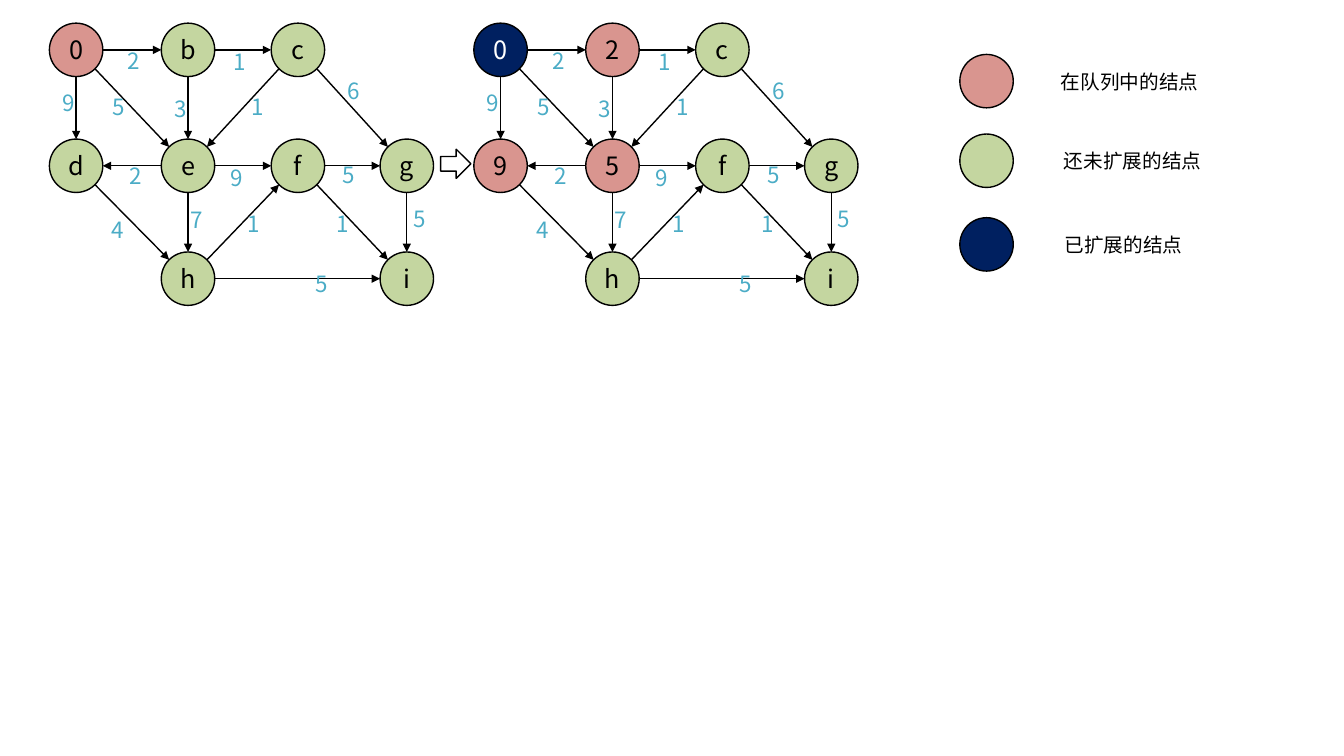
import math

import pptx
import pptx.util
import pptx.dml.color
import pptx.enum.shapes
import pptx.enum.text
import pptx.oxml
import pptx.oxml.ns

RGB = pptx.dml.color.RGBColor
KIND = pptx.enum.shapes.MSO_SHAPE
ALIGN = pptx.enum.text.PP_ALIGN
PX = 9144
FONT = "Noto Sans CJK SC"

BLACK = RGB(0x00, 0x00, 0x00)
WHITE = RGB(0xFF, 0xFF, 0xFF)
PINK = RGB(0xD9, 0x95, 0x8F)
GREEN = RGB(0xC4, 0xD6, 0xA0)
NAVY = RGB(0x00, 0x20, 0x60)
TEAL = RGB(0x4B, 0xAC, 0xC6)

SIZE = 53
COLS = (0, 111, 220, 328)
ROWS = (0, 115, 227)
NODES = {
    "a": (0, 0), "b": (1, 0), "c": (2, 0),
    "d": (0, 1), "e": (1, 1), "f": (2, 1), "g": (3, 1),
    "h": (1, 2), "i": (3, 2),
}
EDGES = [
    ("a", "b", "2", 68, 19), ("a", "e", "5", 53, 65),
    ("a", "d", "9", 3, 61), ("b", "c", "1", 173, 20),
    ("b", "e", "3", 114, 66), ("c", "e", "1", 191, 65),
    ("c", "g", "6", 286, 49), ("e", "d", "2", 70, 133),
    ("e", "f", "9", 170, 135), ("f", "g", "5", 281, 132),
    ("d", "h", "4", 52, 187), ("e", "h", "7", 130, 177),
    ("h", "f", "1", 187, 181), ("f", "i", "1", 275, 181),
    ("g", "i", "5", 351, 176), ("h", "i", "5", 254, 240),
]
START = {"a": ("0", PINK, BLACK)}
NEXT = {
    "a": ("0", NAVY, WHITE), "b": ("2", PINK, BLACK),
    "d": ("9", PINK, BLACK), "e": ("5", PINK, BLACK),
}
LEGEND = [
    (0, PINK, 72, "在队列中的结点"),
    (79, GREEN, 75, "还未扩展的结点"),
    (162, NAVY, 66, "已扩展的结点"),
]


def emu(*nums):
    """Turn px lengths into EMU."""
    return [pptx.util.Emu(round(num * PX)) for num in nums]


def add_run(frame, text, size, color, align):
    """Add one run of text to the first paragraph of a frame."""
    par = frame.paragraphs[0]
    par.alignment = align
    run = par.add_run()
    run.text = text
    font = run.font
    font.size = pptx.util.Pt(size)
    font.name = FONT
    font.color.rgb = color
    east = run._r.get_or_add_rPr().makeelement(
        pptx.oxml.ns.qn("a:ea"), {"typeface": FONT})
    run._r.rPr.append(east)


def add_text(slide, box, text, size, color, align):
    """Place a text box that grows with its text."""
    frame = slide.shapes.add_textbox(*emu(*box)).text_frame
    frame.word_wrap = True
    frame.auto_size = pptx.enum.text.MSO_AUTO_SIZE.SHAPE_TO_FIT_TEXT
    add_run(frame, text, size, color, align)


def add_form(slide, kind, box, fill):
    """Place a preset shape with a thin black outline."""
    form = slide.shapes.add_shape(kind, *emu(*box))
    form.shadow.inherit = False
    form.fill.solid()
    form.fill.fore_color.rgb = fill
    form.line.color.rgb = BLACK
    form.line.width = pptx.util.Pt(1)
    return form


def add_node(slide, left, top, text, fill, color):
    """Place a circle with its label."""
    node = add_form(slide, KIND.OVAL, (left, top, SIZE, SIZE), fill)
    frame = node.text_frame
    frame.margin_left = frame.margin_right = 0
    frame.margin_top = frame.margin_bottom = 0
    frame.vertical_anchor = pptx.enum.text.MSO_ANCHOR.MIDDLE
    add_run(frame, text, 18, color, ALIGN.CENTER)


def add_edge(slide, start, end):
    """Draw an arrow between the rims of two circles, given their corners."""
    turn = [(far > near) - (far < near) for near, far in zip(start, end)]
    rim = SIZE / 2 / math.hypot(*turn)
    tip = [near + SIZE / 2 + way * rim for near, way in zip(start, turn)]
    goal = [far + SIZE / 2 - way * rim for far, way in zip(end, turn)]
    edge = slide.shapes.add_connector(
        pptx.enum.shapes.MSO_CONNECTOR.STRAIGHT, *emu(*tip, *goal))
    edge.line.color.rgb = BLACK
    edge.line.width = pptx.util.Pt(1)
    name = pptx.oxml.ns.qn
    line = edge.line._get_or_add_ln()
    line.append(line.makeelement(name("a:tailEnd"), {"type": "triangle"}))
    props = edge._element.spPr
    props.append(props.makeelement(name("a:effectLst"), {}))


def add_graph(slide, left, top, state):
    """Draw the weighted graph with the given node states."""
    spots = {key: (left + COLS[col], top + ROWS[row])
             for key, (col, row) in NODES.items()}
    for key, spot in spots.items():
        add_node(slide, *spot, *state.get(key, (key, GREEN, BLACK)))
    for start, end, *_ in EDGES:
        add_edge(slide, spots[start], spots[end])
    for _, _, cost, dx, dy in EDGES:
        add_text(slide, (left + dx, top + dy, 26, 37), cost, 16, TEAL,
                 ALIGN.LEFT)


def add_legend(slide, left, top):
    """List the node colours with their meaning."""
    for dy, fill, dx, text in LEGEND:
        add_form(slide, KIND.OVAL, (left, top + dy, SIZE, SIZE), fill)
        add_text(slide, (left + dx, top + dy + 10, 193, 34), text, 14, BLACK,
                 ALIGN.CENTER)


def main():
    """Build the slide and save it."""
    deck = pptx.Presentation()
    deck.slide_width, deck.slide_height = emu(1333, 750)
    slide = deck.slides.add_slide(deck.slide_layouts[6])
    add_graph(slide, 49, 23, START)
    add_graph(slide, 470, 23, NEXT)
    add_form(slide, KIND.RIGHT_ARROW, (437, 148, 30, 29), WHITE)
    add_legend(slide, 952, 54)
    deck.save("out.pptx")


if __name__ == "__main__":
    main()
